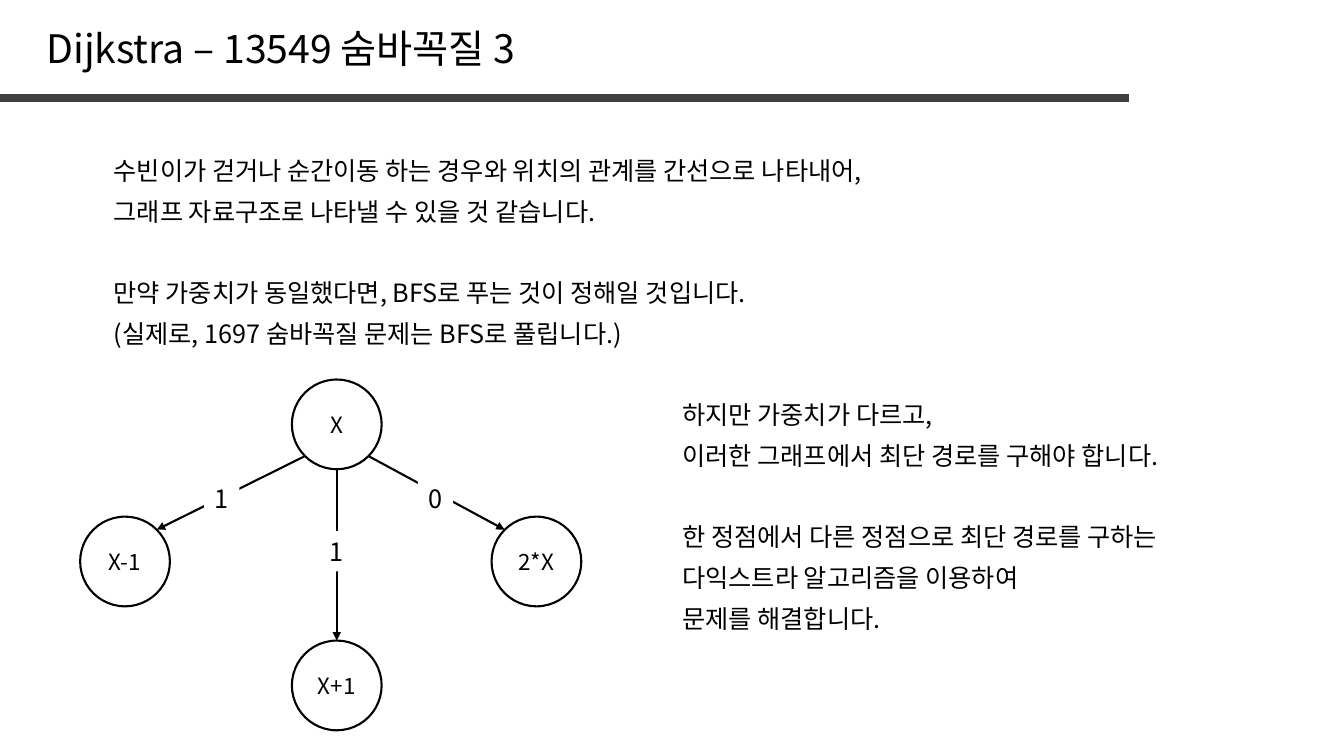
from math import cos, radians, sin

from lxml.etree import SubElement
from pptx import Presentation
from pptx.dml.color import RGBColor
from pptx.enum.shapes import MSO_CONNECTOR, MSO_SHAPE
from pptx.enum.text import MSO_ANCHOR, MSO_AUTO_SIZE, PP_ALIGN
from pptx.oxml.ns import qn
from pptx.util import Inches, Pt

# Content
TITLE = "Dijkstra – 13549 숨바꼭질 3"
# Text columns: (left, width, {row: line})
COLUMNS = [
    (1.03, 11.2, {
        0: "수빈이가 걷거나 순간이동 하는 경우와 위치의 관계를 간선으로 나타내어,",
        1: "그래프 자료구조로 나타낼 수 있을 것 같습니다.",
        3: "만약 가중치가 동일했다면, BFS로 푸는 것이 정해일 것입니다.",
        4: "(실제로, 1697 숨바꼭질 문제는 BFS로 풀립니다.)",
    }),
    (6.67, 5.56, {
        6: "하지만 가중치가 다르고,",
        7: "이러한 그래프에서 최단 경로를 구해야 합니다.",
        9: "한 정점에서 다른 정점으로 최단 경로를 구하는",
        10: "다익스트라 알고리즘을 이용하여",
        11: "문제를 해결합니다.",
    }),
]
# Graph nodes: name -> centre
NODES = {"X": (3.34, 4.21), "X-1": (1.24, 5.57), "2*X": (5.32, 5.57), "X+1": (3.34, 6.8)}
# Edges from X: (target, angle leaving X, angle entering target, weight, weight centre)
EDGES = [
    ("X+1", 90, 270, "1", (3.34, 5.47)),
    ("X-1", 135, 315, "1", (2.2, 4.95)),
    ("2*X", 45, 225, "0", (4.32, 4.95)),
]

# Style
FONT = "Noto Sans CJK KR"
COLORS = {"ink": "000000", "rule": "404040", "paper": "FFFFFF"}
TOP, PITCH, LINE_H = 1.49, 0.404, 0.4
DIAMETER, LABEL_W = 0.89, 0.35


def rgb(name):
    return RGBColor.from_string(COLORS[name])


def write(sp, text, size, align=PP_ALIGN.LEFT, anchor=MSO_ANCHOR.TOP, grow=True, wrap=True):
    tf = sp.text_frame
    tf.text = text
    tf.word_wrap = wrap
    tf.vertical_anchor = anchor
    tf.auto_size = MSO_AUTO_SIZE.SHAPE_TO_FIT_TEXT if grow else MSO_AUTO_SIZE.NONE
    p = tf.paragraphs[0]
    p.alignment = align
    r = p.runs[0]
    r.font.size = Pt(size)
    r.font.name = FONT
    r.font.color.rgb = rgb("ink")
    SubElement(r.font._element, qn("a:ea"), typeface=FONT)


def add_line(s, start, end, color, width, arrow=False):
    line = s.shapes.add_connector(MSO_CONNECTOR.STRAIGHT, *map(Inches, (*start, *end)))
    line.line.color.rgb = rgb(color)
    line.line.width = Pt(width)
    if arrow:
        SubElement(line.line._get_or_add_ln(), qn("a:tailEnd"), type="triangle")
    SubElement(line._element.spPr, qn("a:effectLst"))


def add_centered(s, kind, centre, w, h):
    x, y = centre
    sp = s.shapes.add_shape(kind, *map(Inches, (x - w / 2, y - h / 2, w, h)))
    sp.shadow.inherit = False
    return sp


def rim(name, angle):
    x, y = NODES[name]
    a = radians(angle)
    return x + DIAMETER / 2 * cos(a), y + DIAMETER / 2 * sin(a)


prs = Presentation()
prs.slide_width, prs.slide_height = Inches(13.33), Inches(7.5)
s = prs.slides.add_slide(prs.slide_layouts[5])

# Title and rule
title = s.shapes.title
title.left, title.top, title.width, title.height = map(Inches, (0.36, 0.19, 5.06, 0.57))
write(title, TITLE, 28, wrap=False)
add_line(s, (0, 0.97), (11.2, 0.97), "rule", 6)

# Explanation
for left, width, lines in COLUMNS:
    for row, text in lines.items():
        box = s.shapes.add_textbox(*map(Inches, (left, TOP + row * PITCH, width, LINE_H)))
        write(box, text, 18)

# Graph nodes
for name, centre in NODES.items():
    node = add_centered(s, MSO_SHAPE.OVAL, centre, DIAMETER, DIAMETER)
    node.fill.background()
    node.line.color.rgb = rgb("ink")
    node.line.width = Pt(1.5)
    write(node, name, 16, PP_ALIGN.CENTER, MSO_ANCHOR.MIDDLE, grow=False)

# Weighted edges
for target, leave, enter, weight, centre in EDGES:
    add_line(s, rim("X", leave), rim(target, enter), "ink", 1.5, arrow=True)
    label = add_centered(s, MSO_SHAPE.RECTANGLE, centre, LABEL_W, LINE_H)
    label.fill.solid()
    label.fill.fore_color.rgb = rgb("paper")
    label.line.fill.background()
    write(label, weight, 18, PP_ALIGN.CENTER)

prs.save("out.pptx")
